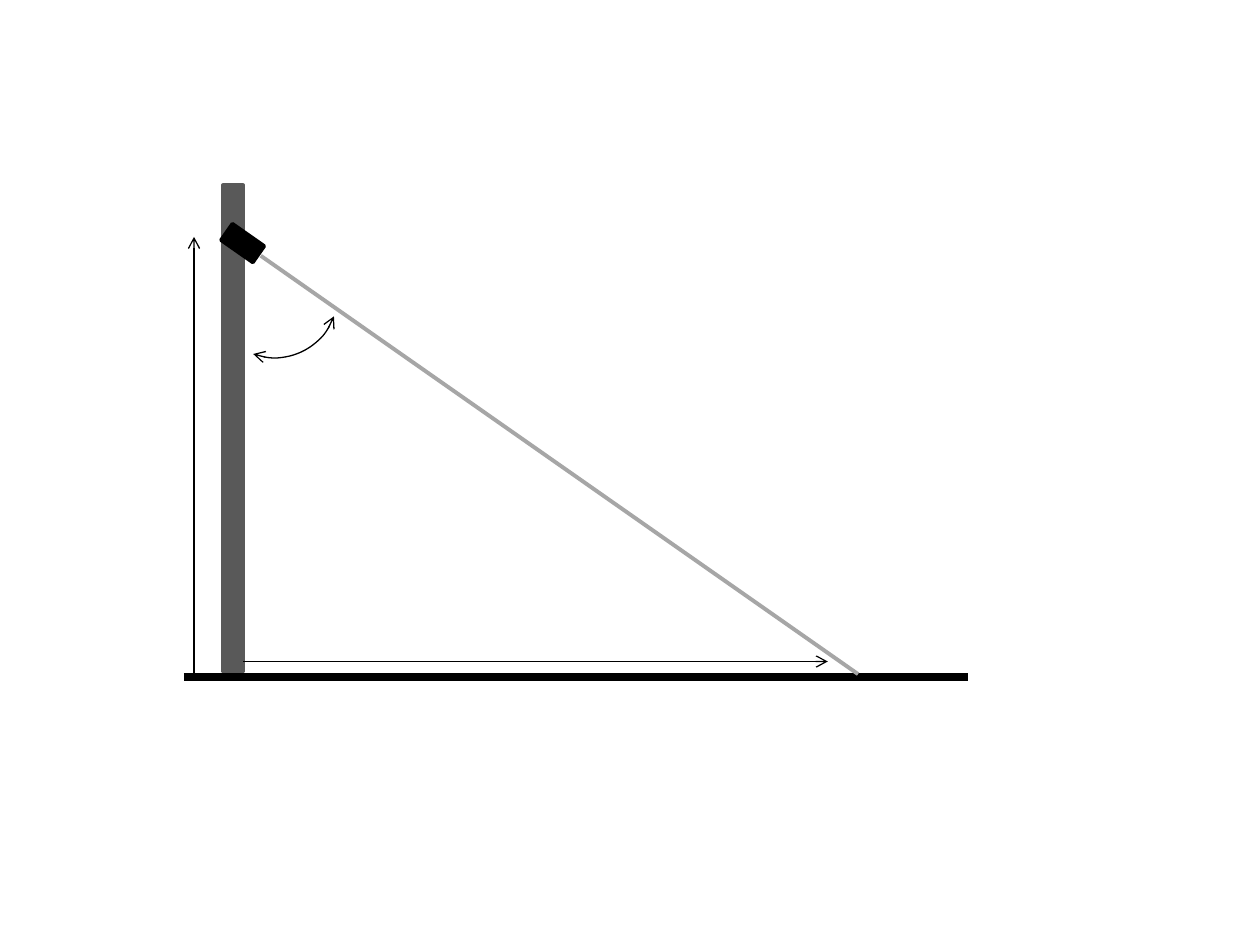
import pptx
import pptx.util
import pptx.dml.color
import pptx.enum.shapes
import pptx.oxml
import pptx.oxml.ns

Inches = pptx.util.Inches
SHAPE = pptx.enum.shapes.MSO_SHAPE
COLORS = {"black": "000000", "pole": "595959", "beam": "A6A6A6"}


class Sketch:
    """Holds the colours and the slide being drawn."""

    def __init__(self, slide, colors):
        self.slide = slide
        self.colors = colors

    def rgb(self, name):
        return pptx.dml.color.RGBColor.from_string(self.colors[name])

    def stroke(self, line, color, width, ends=()):
        """Format a line; ends may name "head" and "tail" arrows, in that order."""
        line.color.rgb = self.rgb(color)
        line.width = pptx.util.Pt(width)
        ln = line._get_or_add_ln()
        for end in ends:
            tag = pptx.oxml.ns.qn(f"a:{end}End")
            ln.append(ln.makeelement(tag, {"type": "arrow"}))

    def shape(self, kind, box, color, width, fill=True, turn=0, ends=()):
        item = self.slide.shapes.add_shape(kind, *map(Inches, box))
        item.shadow.inherit = False
        item.rotation = turn
        if fill:
            item.fill.solid()
            item.fill.fore_color.rgb = self.rgb(color)
        else:
            item.fill.background()
        self.stroke(item.line, color, width, ends)

    def line(self, start, end, color="black", width=0.75, ends=()):
        item = self.slide.shapes.add_connector(
            pptx.enum.shapes.MSO_CONNECTOR.STRAIGHT, *map(Inches, start + end))
        self.stroke(item.line, color, width, ends)
        props = item._element.spPr
        props.append(props.makeelement(pptx.oxml.ns.qn("a:effectLst"), {}))


def main():
    deck = pptx.Presentation()
    deck.slide_width, deck.slide_height = Inches(10), Inches(7.5)
    slide = deck.slides.add_slide(deck.slide_layouts[6])
    sketch = Sketch(slide, COLORS)

    # Ground, pole, sensor and beam
    sketch.line((1.46, 5.37), (7.68, 5.37), width=4.5)
    sketch.shape(SHAPE.RECTANGLE, (1.77, 1.47, 0.16, 3.86), "pole", 2)
    sketch.shape(SHAPE.RECTANGLE, (1.77, 1.85, 0.31, 0.16), "black", 2, turn=35)
    sketch.line((2.07, 2.03), (6.81, 5.35), "beam", 2.25)

    # Angle, height and distance
    sketch.shape(SHAPE.ARC, (1.68, 1.84, 1, 1), "black", 0.75,
                 fill=False, turn=110, ends=("head", "tail"))
    sketch.line((1.54, 1.88), (1.54, 5.34), ends=("head",))
    sketch.line((1.93, 5.25), (6.57, 5.25), ends=("tail",))

    deck.save("out.pptx")


if __name__ == "__main__":
    main()
